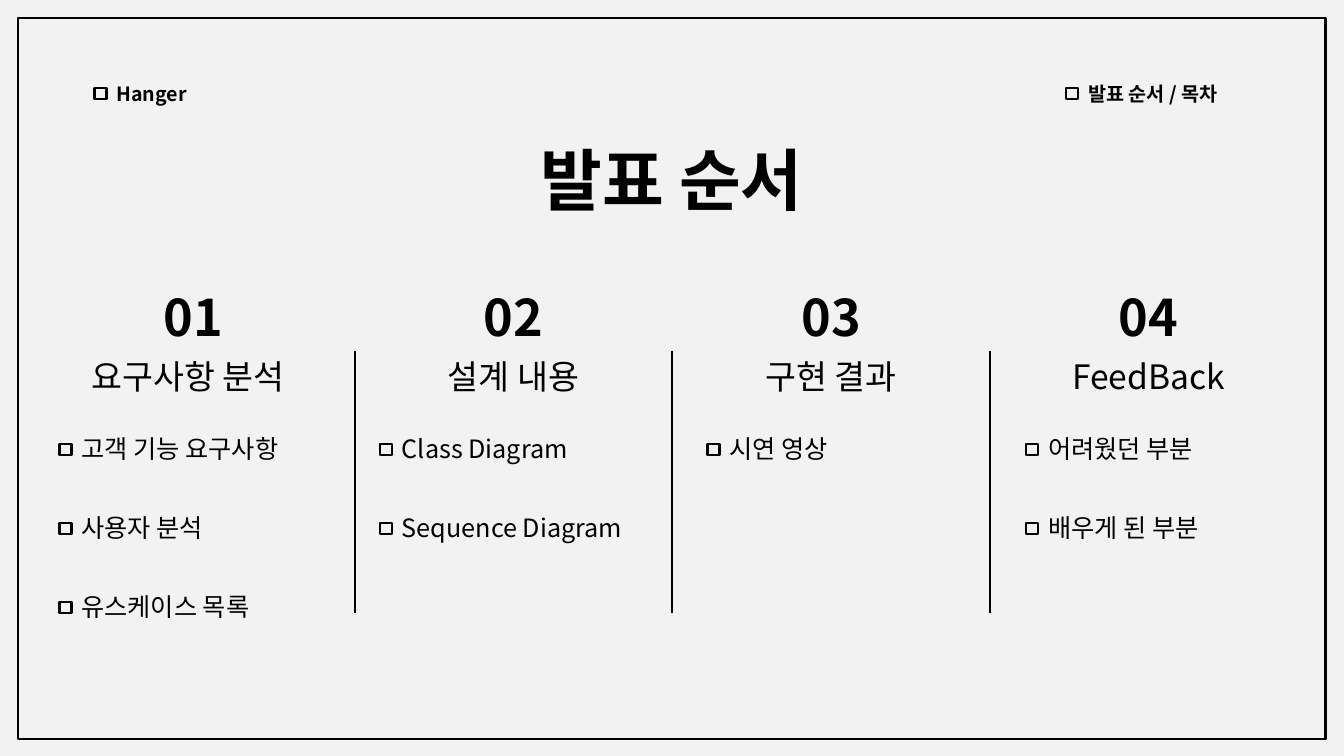
from pptx import Presentation
from pptx.dml.color import RGBColor
from pptx.enum.shapes import MSO_CONNECTOR, MSO_SHAPE
from pptx.enum.text import MSO_ANCHOR, MSO_AUTO_SIZE, PP_ALIGN as Align
from pptx.oxml.ns import qn
from pptx.util import Pt
from lxml.etree import SubElement

INK = RGBColor(0, 0, 0)
PAPER = RGBColor(0xF2, 0xF2, 0xF2)
FONT = "Noto Sans CJK KR"
LINE = 1.5

PITCH = 226.8  # column width
LEFT = 26.6    # left edge of the first column
STEP = 56.5    # distance between list items

# number, heading, items, list indent, number shift, heading shift
TOPICS = [
    ("01", "요구사항 분석", ["고객 기능 요구사항", "사용자 분석", "유스케이스 목록"], 15.9, -2, -5.6),
    ("02", "설계 내용", ["Class Diagram", "Sequence Diagram"], 18, 0, 0),
    ("03", "구현 결과", ["시연 영상"], 25.2, 0, 0),
    ("04", "FeedBack", ["어려웠던 부분", "배우게 된 부분"], 26, 0, 0),
]


def style(shape, text, size, bold=False, align=Align.LEFT):
    frame = shape.text_frame
    frame.text = text
    frame.word_wrap = True
    frame.auto_size = MSO_AUTO_SIZE.NONE
    frame.vertical_anchor = MSO_ANCHOR.TOP
    para = frame.paragraphs[0]
    para.alignment = align
    font = para.runs[0].font
    font.size = Pt(size)
    font.bold = bold
    font.name = FONT
    font.color.rgb = INK
    # Korean glyphs take the East Asian typeface
    SubElement(font._element, qn("a:ea")).set("typeface", FONT)


def label(slide, x, y, w, h, *args):
    style(slide.shapes.add_textbox(Pt(x), Pt(y), Pt(w), Pt(h)), *args)


def outline(slide, kind, x, y, w, h):
    shape = slide.shapes.add_shape(kind, Pt(x), Pt(y), Pt(w), Pt(h))
    shape.shadow.inherit = False
    shape.fill.background()
    shape.line.color.rgb = INK
    shape.line.width = Pt(LINE)


def item(slide, x, y, w, text, size, lift, bold=False):
    """Square marker at x, y with its label to the right."""
    outline(slide, MSO_SHAPE.RECTANGLE, x, y, 8.6, 7.9)
    label(slide, x + 8.6, y - lift, w, size * 1.6, text, size, bold)


def divide(slide, x, y, h):
    rule = slide.shapes.add_connector(
        MSO_CONNECTOR.STRAIGHT, Pt(x), Pt(y), Pt(x), Pt(y + h))
    rule.line.color.rgb = INK
    rule.line.width = Pt(LINE)
    SubElement(rule._element.spPr, qn("a:effectLst"))


def header(slide, x, y, w):
    """Running labels at both ends, with the title below."""
    item(slide, x, y, 100, "Hanger", 14, 7.9, True)
    item(slide, x + w, y, 123, "발표 순서 / 목차", 14, 7.9, True)
    title = slide.shapes.title
    title.left, title.top = Pt(364.3), Pt(y + 32.4)
    title.width, title.height = Pt(231), Pt(65.5)
    style(title, "발표 순서", 48, True, Align.CENTER)


def column(slide, x, y, w, topic):
    """Number, heading and marked list of one topic."""
    num, head, items, indent, shift, nudge = topic
    label(slide, x + shift, y, w, 51, num, 36, True, Align.CENTER)
    label(slide, x + nudge, y + 49.7, w, 36, head, 24, False, Align.CENTER)
    for row, text in enumerate(items):
        item(slide, x + indent, y + 116 + row * STEP, 196, text, 18, 11)


def agenda(deck):
    slide = deck.slides.add_slide(deck.slide_layouts[5])
    slide.background.fill.solid()
    slide.background.fill.fore_color.rgb = PAPER
    # Frame
    outline(slide, MSO_SHAPE.FLOWCHART_PROCESS, 13, 13, 933.8, 514.8)
    # Header
    header(slide, 67.5, 62.7, 694)
    # Topic columns with rules between them
    for i, topic in enumerate(TOPICS):
        x = LEFT + i * PITCH
        column(slide, x, 200.9, PITCH, topic)
        if i:
            divide(slide, x, 250.4, 187.2)


def main():
    deck = Presentation()
    deck.slide_width, deck.slide_height = Pt(960), Pt(540)
    agenda(deck)
    deck.save("out.pptx")


if __name__ == "__main__":
    main()
